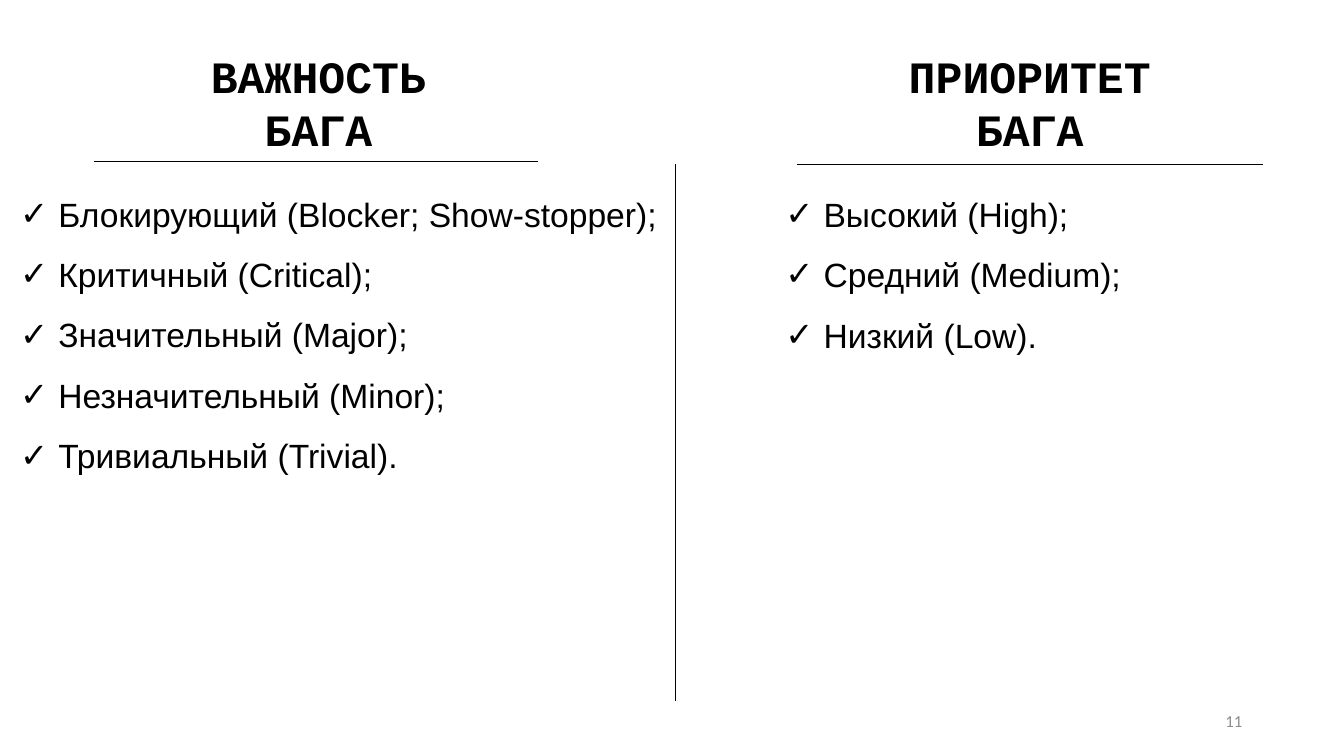
import pptx
import pptx.util
import pptx.dml.color
import pptx.enum.shapes
import pptx.enum.text
import pptx.oxml
import pptx.oxml.ns

Inches = pptx.util.Inches
Pt = pptx.util.Pt
ALIGN = pptx.enum.text.PP_ALIGN
ANCHOR = pptx.enum.text.MSO_ANCHOR
AUTO_SIZE = pptx.enum.text.MSO_AUTO_SIZE

# Content: boxes are left, top, width, height; rules are x1, y1, x2, y2
COLUMNS = [
    {
        "heading": ["ВАЖНОСТЬ", "БАГА"],
        "heading_box": (1.98, 0.43, 2.36, 1.18),
        "rule": (0.93, 1.6, 5.34, 1.6),
        "levels": [
            "Блокирующий (Blocker; Show-stopper);",
            "Критичный (Critical);",
            "Значительный (Major);",
            "Незначительный (Minor);",
            "Тривиальный (Trivial).",
        ],
        "levels_box": (0.1, 1.67, 6.59, 3.13),
    },
    {
        "heading": ["ПРИОРИТЕТ", "БАГА"],
        "heading_box": (8.9, 0.43, 2.63, 1.18),
        "rule": (7.9, 1.63, 12.53, 1.63),
        "levels": ["Высокий (High);", "Средний (Medium);", "Низкий (Low)."],
        "levels_box": (7.69, 1.67, 5.05, 1.92),
    },
]
DIVIDER = (6.7, 1.63, 6.7, 6.95)
PAGE_NUMBER = "11"
PAGE_NUMBER_BOX = (9.42, 6.95, 3, 0.4)

THEME = {
    "ink": "000000",
    "muted": "8C8C8C",
    "heading": {"font": "Courier New", "size": 32, "bold": True},
    "levels": {"font": "Arial", "size": 24},
    "number": {"font": "Calibri", "size": 12},
    "rule_width": 0.5,
    "bullet": "✓",
    "bullet_indent": 0.38,
}


def rgb(value):
    return pptx.dml.color.RGBColor.from_string(value)


def add_bullet(para):
    properties = para._p.get_or_add_pPr()
    indent = Inches(THEME["bullet_indent"])
    properties.set("marL", str(indent))
    properties.set("indent", str(-indent))
    namespace = pptx.oxml.ns.nsdecls("a")
    for tag, name, value in (
        ("buFont", "typeface", THEME["levels"]["font"]),
        ("buChar", "char", THEME["bullet"]),
    ):
        properties.append(pptx.oxml.parse_xml(f'<a:{tag} {namespace} {name}="{value}"/>'))


def add_text(page, lines, position, *, font, size, color=THEME["ink"], bold=False,
             align=ALIGN.LEFT, anchor=ANCHOR.TOP, wrap=True, grow=True,
             spacing=None, bullet=False):
    box = page.shapes.add_textbox(*map(Inches, position))
    frame = box.text_frame
    frame.word_wrap = wrap
    frame.auto_size = AUTO_SIZE.SHAPE_TO_FIT_TEXT if grow else AUTO_SIZE.NONE
    frame.vertical_anchor = anchor
    for index, line in enumerate(lines):
        para = frame.add_paragraph() if index else frame.paragraphs[0]
        para.alignment = align
        if spacing:
            para.line_spacing = spacing
        if bullet:
            add_bullet(para)
        span = para.add_run()
        span.text = line
        span.font.name = font
        span.font.size = Pt(size)
        span.font.bold = bold
        span.font.color.rgb = rgb(color)


def add_rule(page, ends):
    rule = page.shapes.add_connector(
        pptx.enum.shapes.MSO_CONNECTOR.STRAIGHT, *map(Inches, ends))
    rule.line.color.rgb = rgb(THEME["ink"])
    rule.line.width = Pt(THEME["rule_width"])
    rule._element.spPr.append(
        pptx.oxml.parse_xml(f'<a:effectLst {pptx.oxml.ns.nsdecls("a")}/>'))


def main():
    deck = pptx.Presentation()
    deck.slide_width, deck.slide_height = Inches(13.33), Inches(7.5)
    page = deck.slides.add_slide(deck.slide_layouts[6])

    # Two columns: heading, underline and checklist
    for column in COLUMNS:
        add_text(page, column["heading"], column["heading_box"],
                 align=ALIGN.CENTER, wrap=False, **THEME["heading"])
        add_rule(page, column["rule"])
        add_text(page, column["levels"], column["levels_box"],
                 spacing=1.5, bullet=True, **THEME["levels"])

    # Divider and page number
    add_rule(page, DIVIDER)
    add_text(page, [PAGE_NUMBER], PAGE_NUMBER_BOX, color=THEME["muted"],
             align=ALIGN.RIGHT, anchor=ANCHOR.MIDDLE, grow=False, **THEME["number"])

    deck.save("out.pptx")


if __name__ == "__main__":
    main()
